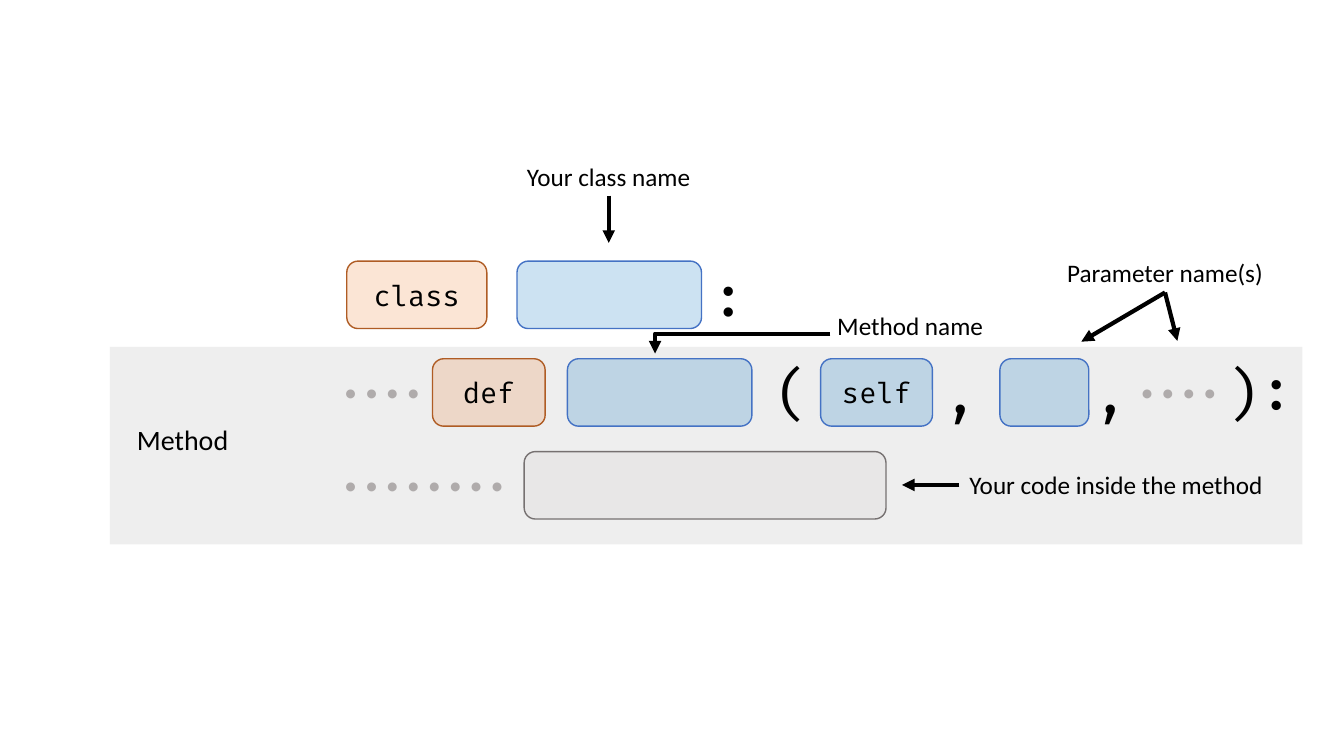
import pptx
import pptx.dml.color
import pptx.enum.shapes
import pptx.enum.text
import pptx.oxml
import pptx.oxml.ns
import pptx.util
from pptx.util import Cm

RGBColor = pptx.dml.color.RGBColor
BLACK = RGBColor(0x00, 0x00, 0x00)
BAND_GREY = RGBColor(0xEE, 0xEE, 0xEE)
DOT_GREY = RGBColor(0xAF, 0xAB, 0xAB)
ORANGE, ORANGE_EDGE = RGBColor(0xED, 0x7D, 0x31), RGBColor(0xAF, 0x5C, 0x24)
BLUE, BLUE_EDGE = RGBColor(0x00, 0x70, 0xC0), RGBColor(0x44, 0x72, 0xC4)
GREY, GREY_EDGE = RGBColor(0xD0, 0xCE, 0xCE), RGBColor(0x76, 0x71, 0x71)

MSO_SHAPE = pptx.enum.shapes.MSO_SHAPE
CONNECTOR = pptx.enum.shapes.MSO_CONNECTOR
PP_ALIGN = pptx.enum.text.PP_ALIGN
qn = pptx.oxml.ns.qn
CODE_FONT, LABEL_FONT = "Fira Code", "Calibri"

# Tops of the three code lines and the height of their boxes, in cm
CLASS_LINE, DEF_LINE, BODY_LINE = 6.58, 9.04, 11.38
BOX_HEIGHT = 1.7


def add_words(frame, words, size, font, color=BLACK, align=PP_ALIGN.LEFT):
    """Put one styled run into a text frame and return the run."""
    frame.word_wrap = True
    paragraph = frame.paragraphs[0]
    paragraph.alignment = align
    run = paragraph.add_run()
    run.text = words
    run.font.size = pptx.util.Pt(size)
    run.font.name = font
    run.font.color.rgb = color
    return run


def add_label(words, left, top, width, height, size, font,
              color=BLACK, align=PP_ALIGN.LEFT):
    """Add a text box measured in cm and return its run."""
    box = slide.shapes.add_textbox(Cm(left), Cm(top), Cm(width), Cm(height))
    box.text_frame.auto_size = pptx.enum.text.MSO_AUTO_SIZE.SHAPE_TO_FIT_TEXT
    return add_words(box.text_frame, words, size, font, color, align)


deck = pptx.Presentation()
deck.slide_width, deck.slide_height = Cm(33.87), Cm(19.05)
slide = deck.slides.add_slide(deck.slide_layouts[6])

method_band = slide.shapes.add_shape(
    MSO_SHAPE.RECTANGLE, Cm(2.77), Cm(8.74), Cm(30.05), Cm(4.98))
method_band.shadow.inherit = False
method_band.fill.solid()
method_band.fill.fore_color.rgb = BAND_GREY
method_band.line.fill.background()

# Keywords and blanks to fill in
for words, left, top, width, tint, edge in [
    ("class", 8.74, CLASS_LINE, 3.53, ORANGE, ORANGE_EDGE),
    ("", 13.03, CLASS_LINE, 4.65, BLUE, BLUE_EDGE),
    ("def", 10.9, DEF_LINE, 2.84, ORANGE, ORANGE_EDGE),
    ("", 14.3, DEF_LINE, 4.65, BLUE, BLUE_EDGE),
    ("self", 20.68, DEF_LINE, 2.82, BLUE, BLUE_EDGE),
    ("", 25.2, DEF_LINE, 2.24, BLUE, BLUE_EDGE),
    ("", 13.21, BODY_LINE, 9.12, GREY, GREY_EDGE),
]:
    token = slide.shapes.add_shape(
        MSO_SHAPE.ROUNDED_RECTANGLE, Cm(left), Cm(top), Cm(width), Cm(BOX_HEIGHT))
    token.shadow.inherit = False
    token.fill.solid()
    token.fill.fore_color.rgb = tint
    tint_xml = token.fill._xPr.find(".//" + qn("a:srgbClr"))
    tint_xml.append(pptx.oxml.parse_xml(
        '<a:alpha %s val="20000"/>' % pptx.oxml.ns.nsdecls("a")))
    token.line.color.rgb = edge
    token.line.width = pptx.util.Pt(1)
    if words:
        token.text_frame.vertical_anchor = pptx.enum.text.MSO_ANCHOR.MIDDLE
        add_words(token.text_frame, words, 20, CODE_FONT, align=PP_ALIGN.CENTER)

# Punctuation
for mark, left, line_top, width in [
    (":", 17.68, CLASS_LINE, 1.42),
    ("(", 19.3, DEF_LINE, 1.75),
    (",", 23.52, DEF_LINE, 1.75),
    (",", 27.31, DEF_LINE, 1.75),
    ("):", 30.63, DEF_LINE, 2.44),
]:
    add_label(mark, left, line_top - 0.14, width, 1.96, 40, CODE_FONT)

# Indent dots, and dots for further parameters
for count, left, line_top, width in [
    (4, 8.43, DEF_LINE, 3.25),
    (4, 28.5, DEF_LINE, 3.25),
    (8, 8.43, BODY_LINE, 4.9),
]:
    dots = add_label("•" * count, left, line_top + 0.32, width, 1.02,
                     18, LABEL_FONT, DOT_GREY)
    dots.font._element.set("spc", "600")

# Explanations
add_label("Method", 3.2, 10.52, 3.99, 1.12, 20, LABEL_FONT)
for words, left, top, width, align in [
    ("Your class name", 13.03, 3.94, 4.67, PP_ALIGN.LEFT),
    ("Method name", 20.85, 7.7, 4.67, PP_ALIGN.LEFT),
    ("Parameter name(s)", 26.31, 6.35, 6.1, PP_ALIGN.CENTER),
    ("Your code inside the method", 24.18, 11.71, 8.92, PP_ALIGN.LEFT),
]:
    add_label(words, left, top, width, 1.02, 18, LABEL_FONT, align=align)

# Arrows from the explanations to the code
for route, *ends in [
    (CONNECTOR.STRAIGHT, 15.34, 4.93, 15.34, 6.12),
    (CONNECTOR.ELBOW, 20.93, 8.41, 16.51, 8.91),
    (CONNECTOR.STRAIGHT, 29.36, 7.37, 27.25, 8.61),
    (CONNECTOR.STRAIGHT, 29.36, 7.37, 29.67, 8.59),
    (CONNECTOR.STRAIGHT, 24.18, 12.22, 22.73, 12.22),
]:
    arrow = slide.shapes.add_connector(route, *[Cm(end) for end in ends])
    arrow.line.color.rgb = BLACK
    arrow.line.width = pptx.util.Pt(3)
    pptx.oxml.ns.qn
    line_xml = arrow.line._get_or_add_ln()
    line_xml.append(pptx.oxml.parse_xml(
        '<a:tailEnd %s type="triangle"/>' % pptx.oxml.ns.nsdecls("a")))
    arrow._element.spPr.append(pptx.oxml.parse_xml(
        "<a:effectLst %s/>" % pptx.oxml.ns.nsdecls("a")))
    if route == CONNECTOR.ELBOW:
        # Turn down only at the far end
        bends = arrow._element.spPr.find(".//" + qn("a:avLst"))
        bends.append(pptx.oxml.parse_xml(
            '<a:gd %s name="adj1" fmla="val 100000"/>' % pptx.oxml.ns.nsdecls("a")))

deck.save("out.pptx")
